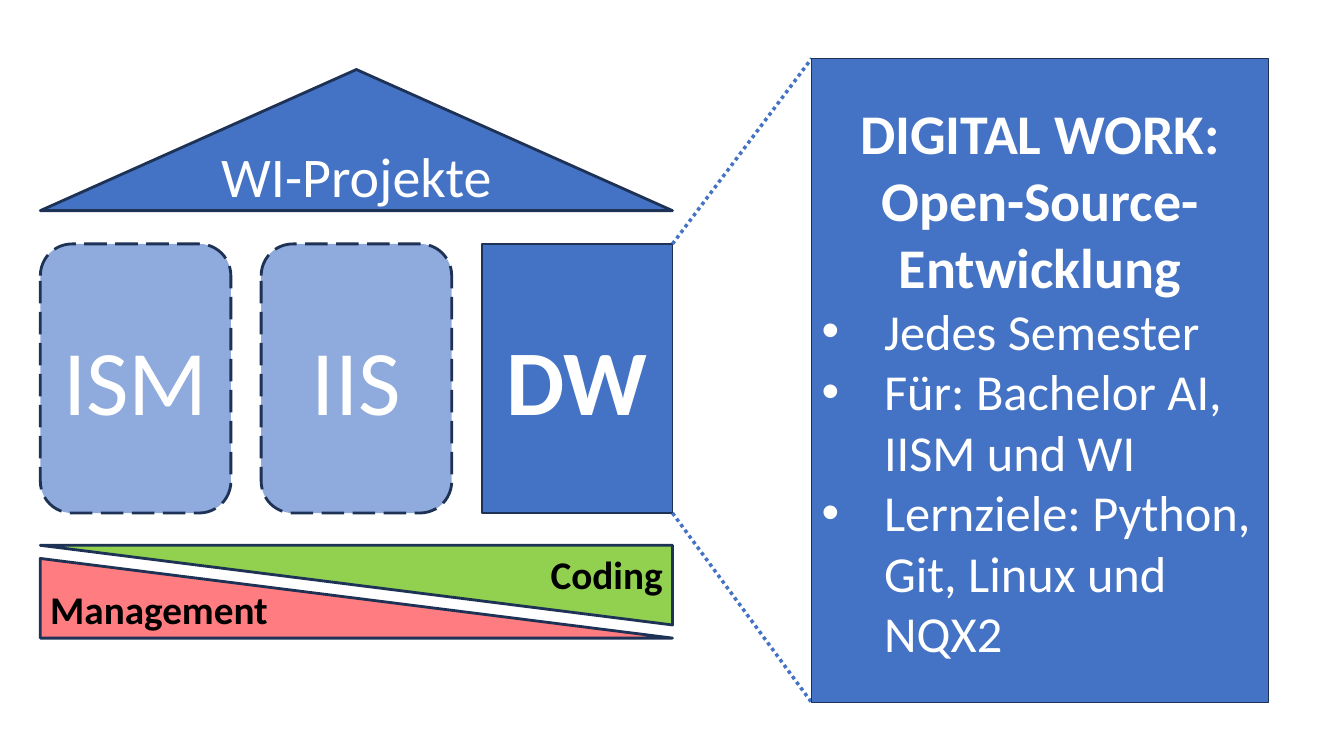
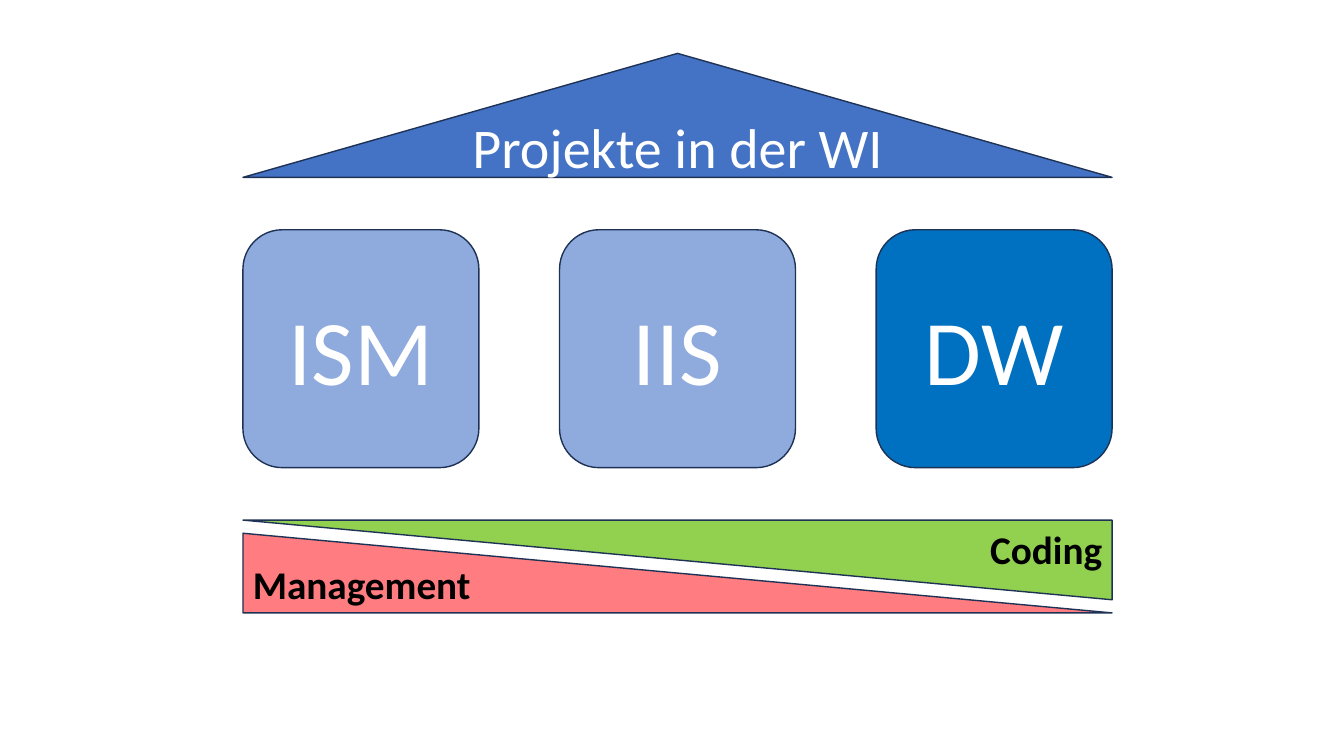
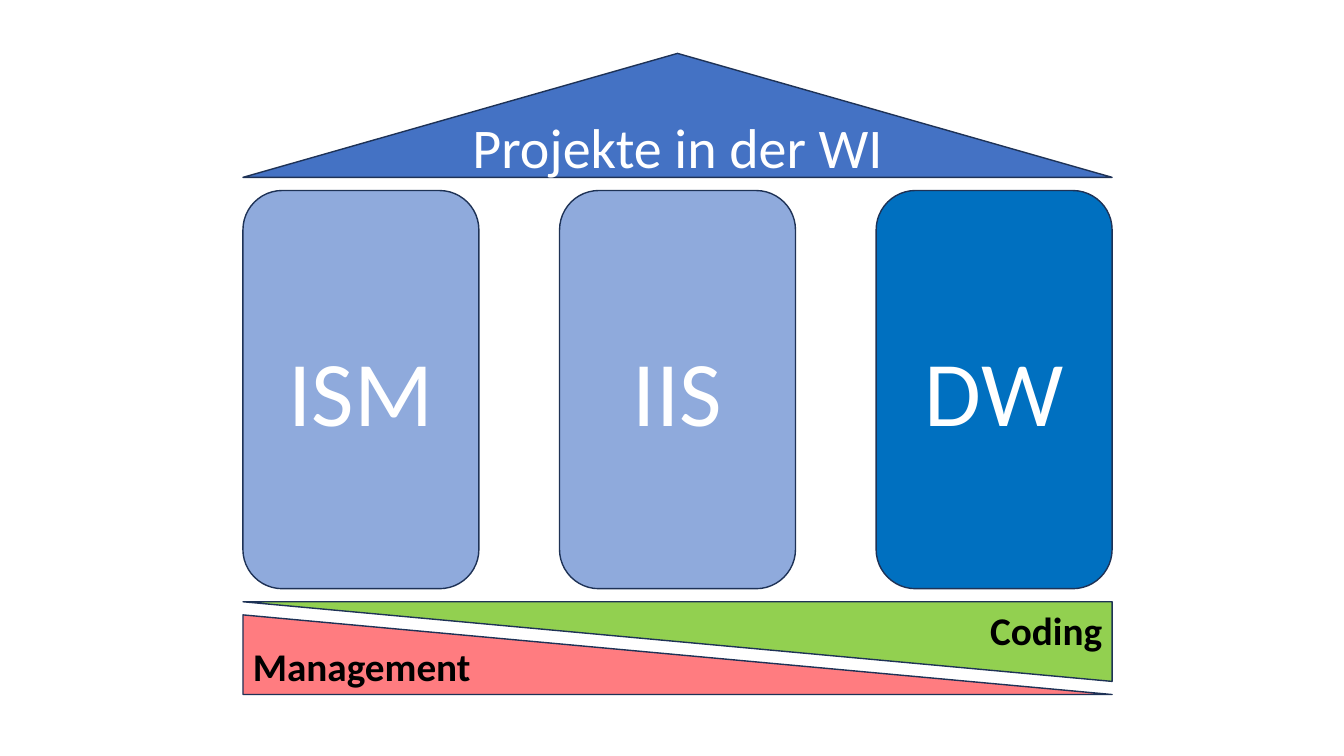
from lxml import etree
from pptx import Presentation
from pptx import util as u
from pptx.dml.color import RGBColor
from pptx.enum import dml, shapes, text
from pptx.oxml.ns import qn

# Shared style
FONT = "Calibri"
COLORS = {"blue": "4472C4", "light": "8FAADC", "strong": "0070C0", "edge": "1E3256",
          "red": "FF7C80", "green": "92D050", "white": "FFFFFF", "black": "000000"}
KIND = shapes.MSO_SHAPE
ALIGN = text.PP_ALIGN
WEDGE_H, WEDGE_STEP = 0.79, 0.13
LABEL_W, LABEL_H = 2.47, 0.57

# Content: roof is (text, top, height); pillars are (text, kind, fill, line width, dash, bold)
DASH = dml.MSO_LINE.LONG_DASH
PILLARS = [("ISM", KIND.ROUNDED_RECTANGLE, "light", 1, None, False),
           ("IIS", KIND.ROUNDED_RECTANGLE, "light", 1, None, False),
           ("DW", KIND.ROUNDED_RECTANGLE, "strong", 1, None, False)]
FOCUS_PILLARS = [("ISM", KIND.ROUNDED_RECTANGLE, "light", 2, DASH, False),
                 ("IIS", KIND.ROUNDED_RECTANGLE, "light", 2, DASH, False),
                 ("DW", KIND.RECTANGLE, "blue", 1, None, True)]
WIDE = {"left": 2.41, "width": 8.62, "line": 1, "roof": ("Projekte in der WI", 0.53, 1.23),
        "pillars": PILLARS, "pillar_w": 2.34}
HOUSES = [
    {"left": 0.4, "width": 6.27, "line": 2, "roof": ("WI-Projekte", 0.69, 1.4),
     "pillars": FOCUS_PILLARS, "pillar_w": 1.89, "pillar_top": 2.42, "pillar_h": 2.67,
     "base_top": 5.41},
    {**WIDE, "pillar_top": 2.28, "pillar_h": 2.36, "base_top": 5.16},
    {**WIDE, "pillar_top": 1.89, "pillar_h": 3.95, "base_top": 5.97},
]
PANEL = (8.05, 0.58, 4.53, 6.39)
PANEL_TITLE = "DIGITAL WORK:\vOpen-Source-\vEntwicklung"
PANEL_POINTS = ["Jedes Semester", "Für: Bachelor AI, IISM und WI",
                "Lernziele: Python, Git, Linux und NQX2"]


def rgb(name):
    return RGBColor.from_string(COLORS[name])


def inches(box):
    return [u.Inches(v) for v in box]


def write(p, words, size, color="white", bold=False, align=ALIGN.CENTER):
    p.text = words
    p.alignment = align
    f = p.font
    f.name, f.size, f.bold = FONT, u.Pt(size), bold
    f.color.rgb = rgb(color)


def add_block(s, kind, box, fill, width, dash=None):
    sp = s.shapes.add_shape(kind, *inches(box))
    sp.shadow.inherit = False
    sp.fill.solid()
    sp.fill.fore_color.rgb = rgb(fill)
    sp.line.color.rgb = rgb("edge")
    sp.line.width = u.Pt(width)
    if dash:
        sp.line.dash_style = dash
    return sp


def add_label(s, words, left, top, align):
    tf = s.shapes.add_textbox(*inches((left, top, LABEL_W, LABEL_H))).text_frame
    tf.word_wrap = True
    tf.auto_size = text.MSO_AUTO_SIZE.SHAPE_TO_FIT_TEXT
    write(tf.paragraphs[0], words, 28, "black", True, align)


def add_house(s, house):
    left, width, line = house["left"], house["width"], house["line"]

    # Base: two opposed wedges with their labels
    top = house["base_top"]
    add_block(s, KIND.RIGHT_TRIANGLE, (left, top + WEDGE_STEP, width, WEDGE_H), "red", line)
    wedge = add_block(s, KIND.RIGHT_TRIANGLE, (left, top, width, WEDGE_H), "green", line)
    wedge.rotation = 180
    bottom = top + WEDGE_STEP + WEDGE_H
    add_label(s, "Management", left, bottom - LABEL_H, ALIGN.LEFT)
    add_label(s, "Coding", left + width - LABEL_W, top, ALIGN.RIGHT)

    # Roof
    words, top, height = house["roof"]
    roof = add_block(s, KIND.ISOSCELES_TRIANGLE, (left, top, width, height), "blue", line)
    write(roof.text_frame.paragraphs[0], words, 40)

    # Pillars, spread evenly under the roof
    pillar_w = house["pillar_w"]
    pitch = (width - pillar_w) / (len(house["pillars"]) - 1)
    for i, (words, kind, fill, weight, dash, bold) in enumerate(house["pillars"]):
        box = (left + i * pitch, house["pillar_top"], pillar_w, house["pillar_h"])
        pillar = add_block(s, kind, box, fill, weight, dash)
        write(pillar.text_frame.paragraphs[0], words, 66, bold=bold)


def add_bullet(p):
    pPr = p._p.get_or_add_pPr()
    pPr.set("marL", str(u.Inches(0.62)))
    pPr.set("indent", str(-u.Inches(0.62)))
    font = etree.Element(qn("a:buFont"), typeface="Arial")
    char = etree.Element(qn("a:buChar"), char="•")
    pPr.insert(0, font)
    font.addnext(char)


def add_panel(s, house):
    # Dotted lines from the last pillar's corners to the panel's corners
    x, y, _, h = PANEL
    edge = house["left"] + house["width"]
    top = house["pillar_top"]
    for y1, y2 in ((top, y), (top + house["pillar_h"], y + h)):
        c = s.shapes.add_connector(shapes.MSO_CONNECTOR.STRAIGHT, *inches((edge, y1, x, y2)))
        c.line.color.rgb = rgb("blue")
        c.line.width = u.Pt(2.5)
        c.line.dash_style = dml.MSO_LINE.ROUND_DOT
        etree.SubElement(c._element.spPr, qn("a:effectLst"))

    # Detail panel
    tf = add_block(s, KIND.RECTANGLE, PANEL, "blue", 1).text_frame
    tf.word_wrap = True
    write(tf.paragraphs[0], PANEL_TITLE, 40, bold=True)
    for point in PANEL_POINTS:
        p = tf.add_paragraph()
        write(p, point, 36, align=ALIGN.LEFT)
        add_bullet(p)


def main():
    prs = Presentation()
    prs.slide_width, prs.slide_height = inches((13.33, 7.5))
    for house in HOUSES:
        add_house(prs.slides.add_slide(prs.slide_layouts[6]), house)
    add_panel(prs.slides[0], HOUSES[0])
    prs.save("out.pptx")


if __name__ == "__main__":
    main()
